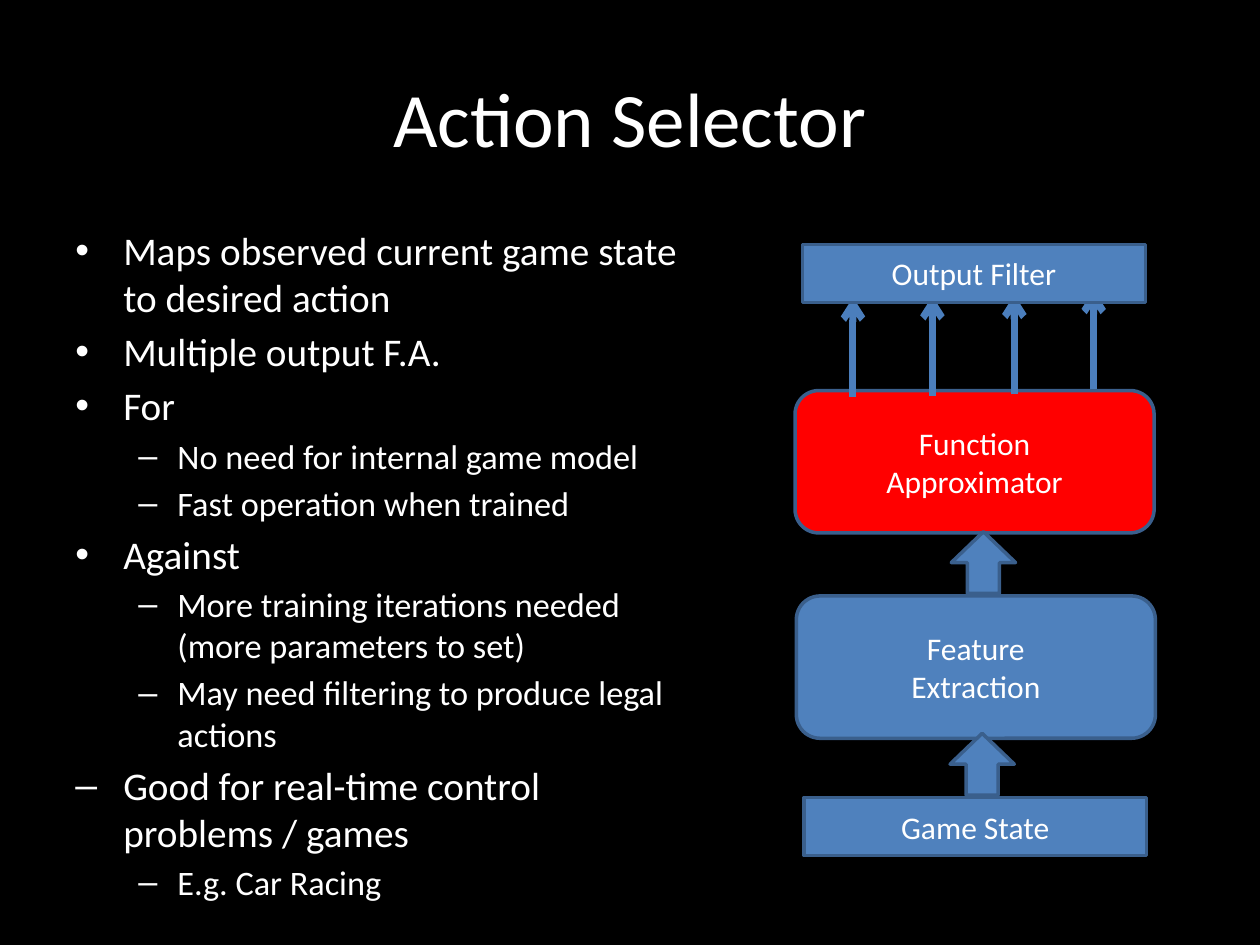
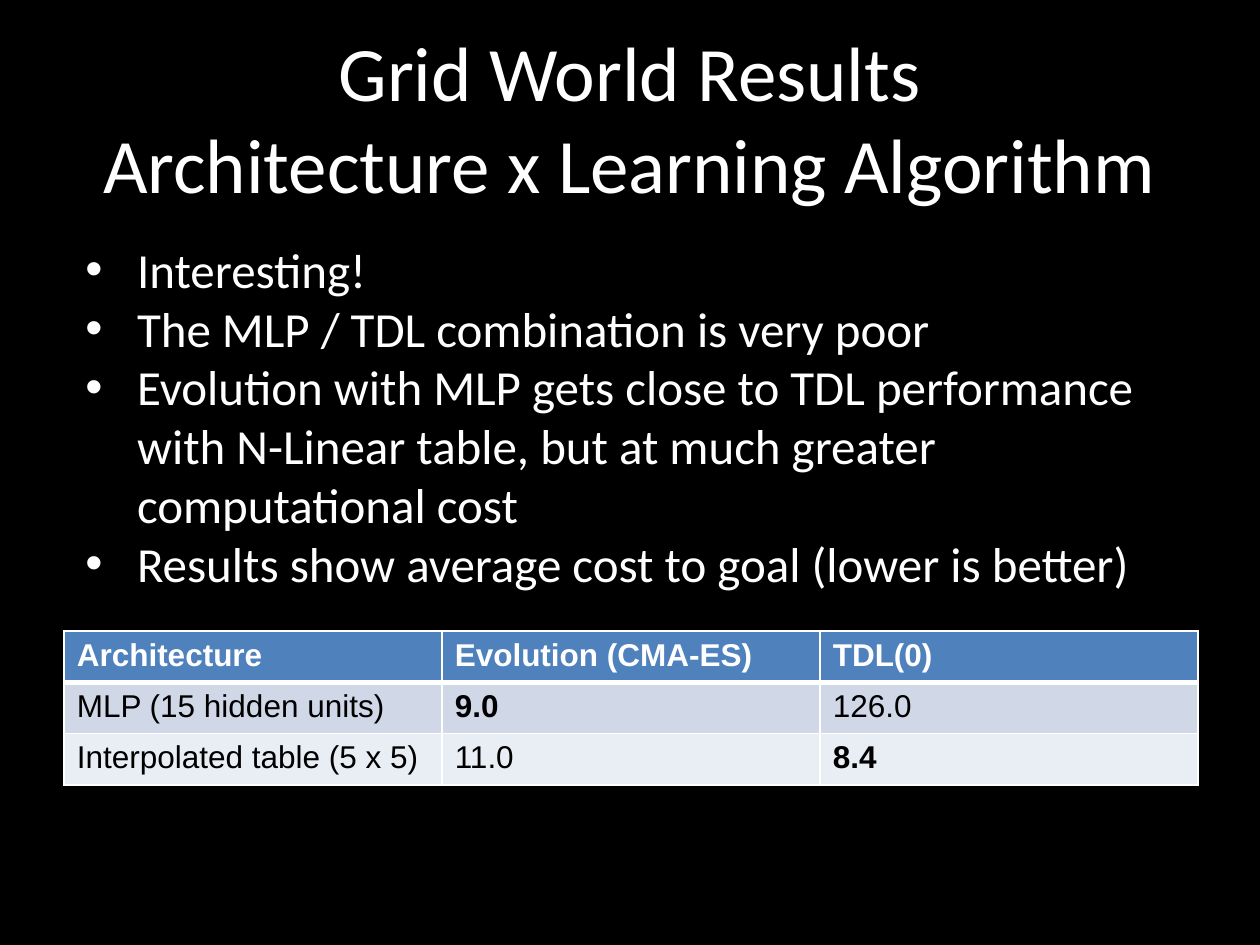
"""Build two slides: the action selector architecture and the grid world results."""
from typing import NamedTuple

from lxml import etree
from pptx import Presentation
from pptx import util as u
from pptx.dml import color
from pptx.enum import shapes, text
from pptx.oxml import ns

BLACK, WHITE, RED = "000000", "FFFFFF", "FF0000"
BLUE, EDGE, ARROW = "4F81BD", "3A5F8C", "4B7EBC"
ROW_FILLS = (BLUE, "D0D8E8", "E9EDF4")
BODY_FONT, TABLE_FONT = "Calibri", "Arial"
LEFT, CENTER = text.PP_ALIGN.LEFT, text.PP_ALIGN.CENTER
KIND = shapes.MSO_SHAPE


class Box(NamedTuple):
    left: float
    top: float
    width: float
    height: float


class Block(NamedTuple):
    kind: KIND
    box: Box
    label: str = ""
    fill: str = BLUE


class Output(NamedTuple):
    x: float
    start: float


class Bullet(NamedTuple):
    mark: str
    margin: float
    hang: float
    size: float
    space_ratio: float = 0


class Item(NamedTuple):
    label: str
    bullet: Bullet


POINT = Bullet("•", 0.38, 0.38, 22.4, 0.18)
DASH_POINT = POINT._replace(mark="–")
SUBPOINT = Bullet("–", 0.81, 0.31, 19.6, 0.18)
FINDING = Bullet("•", 0.41, 0.41, 28)

SELECTOR_ITEMS = [
    Item("Maps observed current game state to desired action", POINT),
    Item("Multiple output F.A.", POINT),
    Item("For", POINT),
    Item("No need for internal game model", SUBPOINT),
    Item("Fast operation when trained", SUBPOINT),
    Item("Against", POINT),
    Item("More training iterations needed (more parameters to set)", SUBPOINT),
    Item("May need filtering to produce legal actions", SUBPOINT),
    Item("Good for real-time control problems / games", DASH_POINT),
    Item("E.g. Car Racing", SUBPOINT),
]
STAGES = [
    Block(KIND.RECTANGLE, Box(6.38, 6.33, 2.72, 0.46), "Game State"),
    Block(KIND.ROUNDED_RECTANGLE, Box(6.31, 3.1, 2.85, 1.13), "Function\nApproximator", RED),
]
OUTPUTS = [Output(8.05, 3.13), Output(7.4, 3.14), Output(6.77, 3.15), Output(8.68, 3.09)]
OUTPUT_LENGTH = 0.79
UPPER_STAGES = [
    Block(KIND.ROUNDED_RECTANGLE, Box(6.32, 4.73, 2.85, 1.13), "Feature\nExtraction"),
    Block(KIND.RECTANGLE, Box(6.37, 1.94, 2.72, 0.46), "Output Filter"),
    Block(KIND.UP_ARROW, Box(7.54, 5.82, 0.51, 0.49)),
    Block(KIND.UP_ARROW, Box(7.55, 4.22, 0.51, 0.49)),
]

FINDINGS = [
    Item(label, FINDING)
    for label in (
        "Interesting!",
        "The MLP / TDL combination is very poor",
        "Evolution with MLP gets close to TDL performance with N-Linear table, "
        "but at much greater computational cost",
        "Results show average cost to goal (lower is better)",
    )
]
RESULTS = [
    ("Architecture", "Evolution (CMA-ES)", "TDL(0)"),
    ("MLP (15 hidden units)", "9.0", "126.0"),
    ("Interpolated table (5 x 5)", "11.0", "8.4"),
]
BEST_RESULTS = ("9.0", "8.4")


def rgb(value: str) -> color.RGBColor:
    """Turn a hex string into a colour."""
    return color.RGBColor.from_string(value)


def inches(box: Box) -> list[u.Inches]:
    """Turn a box into lengths."""
    return [u.Inches(value) for value in box]


def sub_element(parent, tag: str, **attributes: str):
    """Append a DrawingML element."""
    return etree.SubElement(parent, ns.qn(tag), attributes)


def write(paragraph, content: str, *, size: float, font: str = BODY_FONT, ink: str = WHITE,
          bold: bool = False, align=LEFT) -> None:
    """Write formatted text into a paragraph."""
    paragraph.text = content
    paragraph.alignment = align
    for run in paragraph.runs:
        run.font.name = font
        run.font.size = u.Pt(size)
        run.font.bold = bold
        run.font.color.rgb = rgb(ink)


def next_paragraph(frame, index: int):
    """Return the first paragraph, or a new one after it."""
    return frame.add_paragraph() if index else frame.paragraphs[0]


def add_titled_slide(presentation, title: str):
    """Add a title-only slide with its title set."""
    slide = presentation.slides.add_slide(presentation.slide_layouts[5])
    shape = slide.shapes.title
    shape.left, shape.top, shape.width, shape.height = inches(Box(0.5, 0.3, 9, 1.25))
    frame = shape.text_frame
    frame.auto_size = text.MSO_AUTO_SIZE.NONE
    frame.vertical_anchor = text.MSO_ANCHOR.MIDDLE
    write(frame.paragraphs[0], title, size=44, align=CENTER)
    return slide


def add_bullets(slide, box: Box, items: list[Item]) -> None:
    """Add a text box of bulleted paragraphs."""
    frame = slide.shapes.add_textbox(*inches(box)).text_frame
    frame.word_wrap = True
    for index, (label, bullet) in enumerate(items):
        paragraph = next_paragraph(frame, index)
        write(paragraph, label, size=bullet.size)
        paragraph.space_before = u.Pt(round(bullet.size * bullet.space_ratio, 1))
        properties = paragraph._p.get_or_add_pPr()
        properties.set("marL", str(u.Inches(bullet.margin)))
        properties.set("indent", str(-u.Inches(bullet.hang)))
        sub_element(properties, "a:buFont", typeface="Arial")
        sub_element(properties, "a:buChar", char=bullet.mark)


def add_block(slide, block: Block) -> None:
    """Add one filled and outlined part of the diagram."""
    shape = slide.shapes.add_shape(block.kind, *inches(block.box))
    shape.shadow.inherit = False
    shape.fill.solid()
    shape.fill.fore_color.rgb = rgb(block.fill)
    shape.line.color.rgb = rgb(EDGE)
    shape.line.width = u.Pt(2)
    if block.label:
        for index, line in enumerate(block.label.split("\n")):
            write(next_paragraph(shape.text_frame, index), line, size=18, align=CENTER)


def add_output(slide, output: Output) -> None:
    """Add an upward arrow from the approximator to the filter."""
    x = u.Inches(output.x)
    connector = slide.shapes.add_connector(
        shapes.MSO_CONNECTOR.STRAIGHT, x, u.Inches(output.start),
        x, u.Inches(output.start - OUTPUT_LENGTH))
    connector.line.color.rgb = rgb(ARROW)
    connector.line.width = u.Pt(4)
    sub_element(connector.line._get_or_add_ln(), "a:tailEnd", type="arrow")
    sub_element(connector._element.spPr, "a:effectLst")


def set_border(cell, side: str, width: float) -> None:
    """Draw one white cell border."""
    line = sub_element(cell._tc.get_or_add_tcPr(), f"a:ln{side}", w=str(u.Pt(width)))
    sub_element(sub_element(line, "a:solidFill"), "a:srgbClr", val=WHITE)


def add_results(slide) -> None:
    """Add the table of average costs."""
    box = Box(0.51, 5.01, 9, 1.22)
    table = slide.shapes.add_table(len(RESULTS), len(RESULTS[0]), *inches(box)).table
    table.horz_banding = False
    for row, values in enumerate(RESULTS):
        for column, value in enumerate(values):
            cell = table.cell(row, column)
            for side in "LRTB":
                thick = (row, side) in ((0, "B"), (1, "T"))
                set_border(cell, side, 3 if thick else 1)
            cell.fill.solid()
            cell.fill.fore_color.rgb = rgb(ROW_FILLS[row])
            write(cell.text_frame.paragraphs[0], value, size=18, font=TABLE_FONT,
                  ink=BLACK if row else WHITE, bold=row == 0 or value in BEST_RESULTS)


def build_selector(presentation) -> None:
    """Build the action selector slide."""
    slide = add_titled_slide(presentation, "Action Selector")
    add_bullets(slide, Box(0.5, 1.75, 4.99, 4.95), SELECTOR_ITEMS)
    for block in STAGES:
        add_block(slide, block)
    for output in OUTPUTS:
        add_output(slide, output)
    for block in UPPER_STAGES:
        add_block(slide, block)


def build_results(presentation) -> None:
    """Build the grid world results slide."""
    slide = add_titled_slide(
        presentation, "Grid World Results\vArchitecture x Learning Algorithm")
    add_results(slide)
    add_bullets(slide, Box(0.58, 1.85, 8.93, 2.93), FINDINGS)


def main() -> None:
    """Build and save the presentation."""
    presentation = Presentation()
    presentation.slide_width, presentation.slide_height = u.Inches(10), u.Inches(7.5)
    background = presentation.slide_master.background.fill
    background.solid()
    background.fore_color.rgb = rgb(BLACK)
    build_selector(presentation)
    build_results(presentation)
    presentation.save("out.pptx")


if __name__ == "__main__":
    main()
